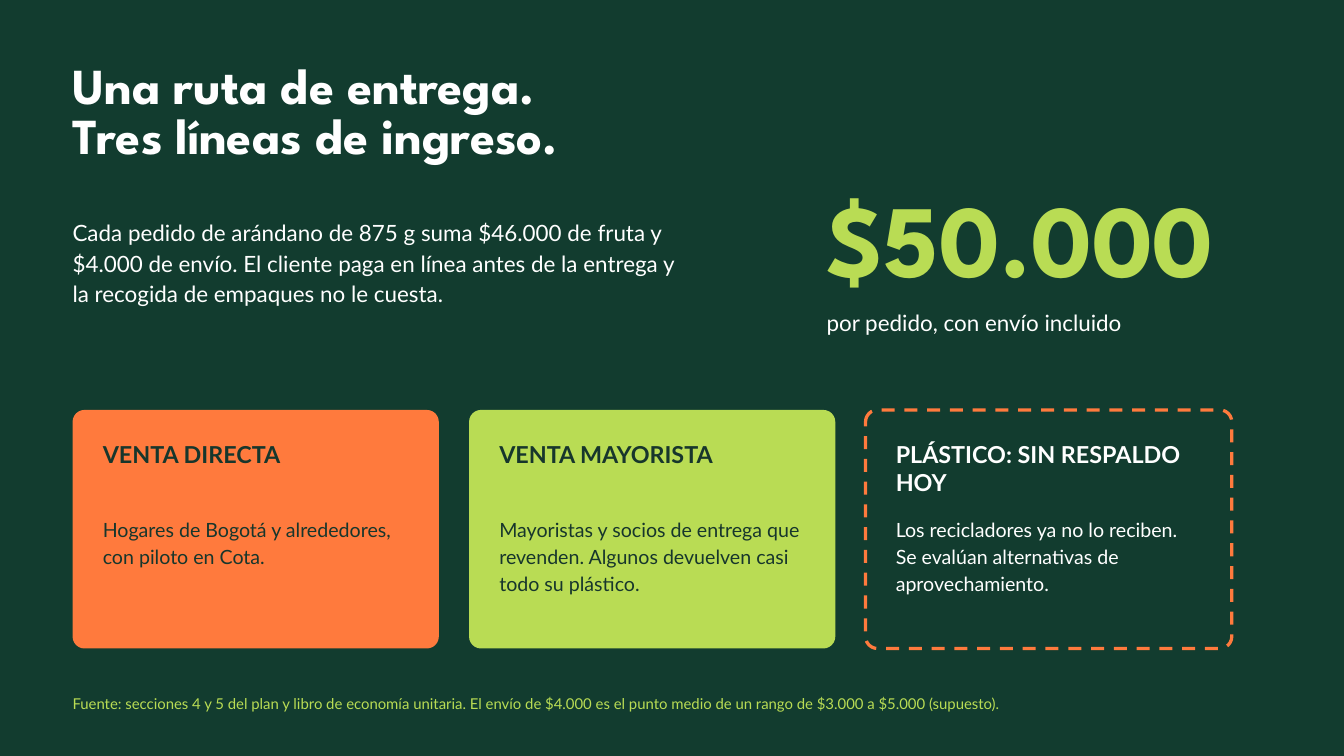
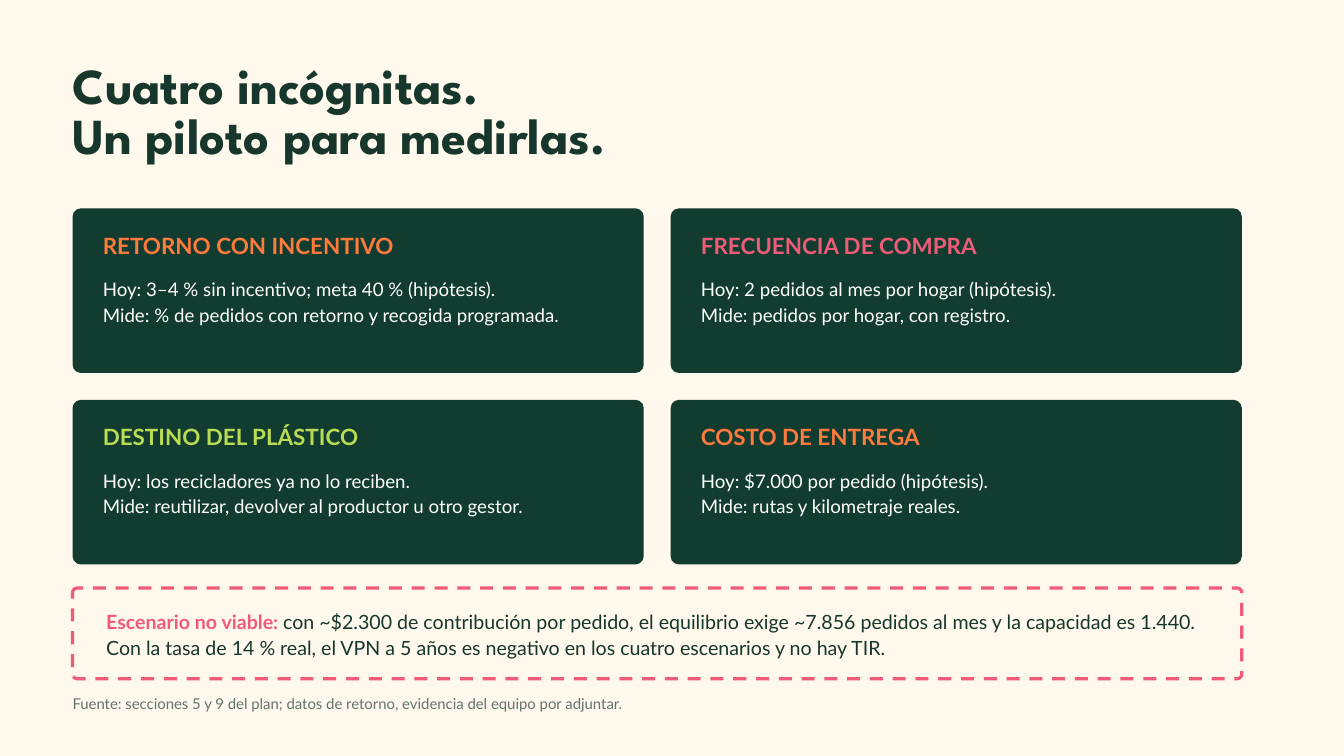
from pptx import Presentation
from pptx.dml.color import RGBColor
from pptx.enum.dml import MSO_LINE
from pptx.enum.shapes import MSO_SHAPE
from pptx.enum.text import MSO_ANCHOR, MSO_AUTO_SIZE
from pptx.util import Pt

GREEN, CREAM, WHITE, INK = "123C2F", "FFF8EC", "FFFFFF", "17362C"
ORANGE, LIME, PINK, GRAY = "FF7A3D", "B9DC54", "EF5B78", "61746C"
HEAD, BODY = "League Spartan", "Lato"
LEFT, PAD = 77.76, 32.4

deck = Presentation()
deck.slide_width, deck.slide_height = Pt(1440), Pt(810)
color = RGBColor.from_string


def write(slide, lines, x, y, w, h, size, gap, tint, bold=False, face=BODY):
    frame = slide.shapes.add_textbox(Pt(x), Pt(y), Pt(w), Pt(h)).text_frame
    frame.word_wrap = True
    frame.auto_size = MSO_AUTO_SIZE.SHAPE_TO_FIT_TEXT
    frame.margin_left = frame.margin_right = 0
    frame.margin_top = frame.margin_bottom = 0
    frame.text = "\n".join(lines)
    for para in frame.paragraphs:
        para.line_spacing = Pt(gap)
        para.font.size = Pt(size)
        para.font.name = face
        para.font.bold = bold
        para.font.color.rgb = color(tint)
    return frame


def card(slide, x, y, w, h, fill=None, edge=None):
    shape = slide.shapes.add_shape(
        MSO_SHAPE.ROUNDED_RECTANGLE, Pt(x), Pt(y), Pt(w), Pt(h))
    shape.adjustments[0] = 0.05
    shape.shadow.inherit = False
    if fill:
        shape.fill.solid()
        shape.fill.fore_color.rgb = color(fill)
    else:
        shape.fill.background()
    if edge:
        shape.line.color.rgb = color(edge)
        shape.line.width = Pt(3.5)
        shape.line.dash_style = MSO_LINE.DASH
    else:
        shape.line.fill.background()


pages = [
    (GREEN, WHITE, ["Una ruta de entrega.", "Tres líneas de ingreso."], LIME,
     "Fuente: secciones 4 y 5 del plan y libro de economía unitaria. El envío de "
     "$4.000 es el punto medio de un rango de $3.000 a $5.000 (supuesto)."),
    (CREAM, INK, ["Cuatro incógnitas.", "Un piloto para medirlas."], GRAY,
     "Fuente: secciones 5 y 9 del plan; datos de retorno, evidencia del equipo "
     "por adjuntar."),
]
slides = []
for back, tint, title, dim, source in pages:
    slide = deck.slides.add_slide(deck.slide_layouts[6])
    slide.background.fill.solid()
    slide.background.fill.fore_color.rgb = color(back)
    write(slide, title, LEFT, 68.4, 1224, 115.2, 54, 54, tint, True, HEAD)
    write(slide, [source], LEFT, 741.6, 1260, 36, 16, 22, dim)
    slides.append(slide)
sales, tests = slides

write(sales, ["Cada pedido de arándano de 875 g suma $46.000 de fruta y $4.000 de "
              "envío. El cliente paga en línea antes de la entrega y la recogida "
              "de empaques no le cuesta."],
      LEFT, 230.4, 662.4, 158.4, 24, 33, WHITE)
write(sales, ["$50.000"], 885.6, 208.8, 489.6, 144, 110, 110, LIME, True, HEAD)
write(sales, ["por pedido, con envío incluido"],
      885.6, 327.6, 475.2, 72, 24, 32, WHITE)

lines = [
    ("VENTA DIRECTA", "Hogares de Bogotá y alrededores, con piloto en Cota.",
     ORANGE, None, INK),
    ("VENTA MAYORISTA", "Mayoristas y socios de entrega que revenden. Algunos "
     "devuelven casi todo su plástico.", LIME, None, INK),
    ("PLÁSTICO: SIN RESPALDO HOY", "Los recicladores ya no lo reciben. Se evalúan "
     "alternativas de aprovechamiento.", None, ORANGE, WHITE),
]
for i, (name, text, fill, edge, tint) in enumerate(lines):
    x = LEFT + i * 424.8
    card(sales, x, 439.2, 392.4, 255.6, fill, edge)
    write(sales, [name], x + PAD, 471.6, 327.6, 64.8, 25, 30, tint, True)
    write(sales, [text], x + PAD, 550.8, 327.6, 136.8, 21, 29, tint)

doubts = [
    ("RETORNO CON INCENTIVO", ORANGE,
     "Hoy: 3–4 % sin incentivo; meta 40 % (hipótesis).",
     "Mide: % de pedidos con retorno y recogida programada."),
    ("FRECUENCIA DE COMPRA", PINK,
     "Hoy: 2 pedidos al mes por hogar (hipótesis).",
     "Mide: pedidos por hogar, con registro."),
    ("DESTINO DEL PLÁSTICO", LIME,
     "Hoy: los recicladores ya no lo reciben.",
     "Mide: reutilizar, devolver al productor u otro gestor."),
    ("COSTO DE ENTREGA", ORANGE,
     "Hoy: $7.000 por pedido (hipótesis).",
     "Mide: rutas y kilometraje reales."),
]
for i, (name, tint, *text) in enumerate(doubts):
    row, col = divmod(i, 2)
    x, y = LEFT + col * 640.8, 223.2 + row * 205.2
    card(tests, x, y, 612, 176.4, GREEN)
    write(tests, [name], x + PAD, y + 25.2, 547.2, 36, 24, 29, tint, True)
    write(tests, text, x + PAD, y + 72, 547.2, 100.8, 20, 27, WHITE)

card(tests, LEFT, 630, 1252.8, 97.2, edge=PINK)
note = write(tests, ["Escenario no viable: "],
             LEFT + 36, 630, 1180.8, 97.2, 21, 28, INK)
note.vertical_anchor = MSO_ANCHOR.MIDDLE
para = note.paragraphs[0]
lead = para.runs[0].font
lead.bold = True
lead.color.rgb = color(PINK)
para.add_run().text = (
    "con ~$2.300 de contribución por pedido, el equilibrio exige ~7.856 pedidos al "
    "mes y la capacidad es 1.440. Con la tasa de 14 % real, el VPN a 5 años es "
    "negativo en los cuatro escenarios y no hay TIR.")

deck.save("out.pptx")
